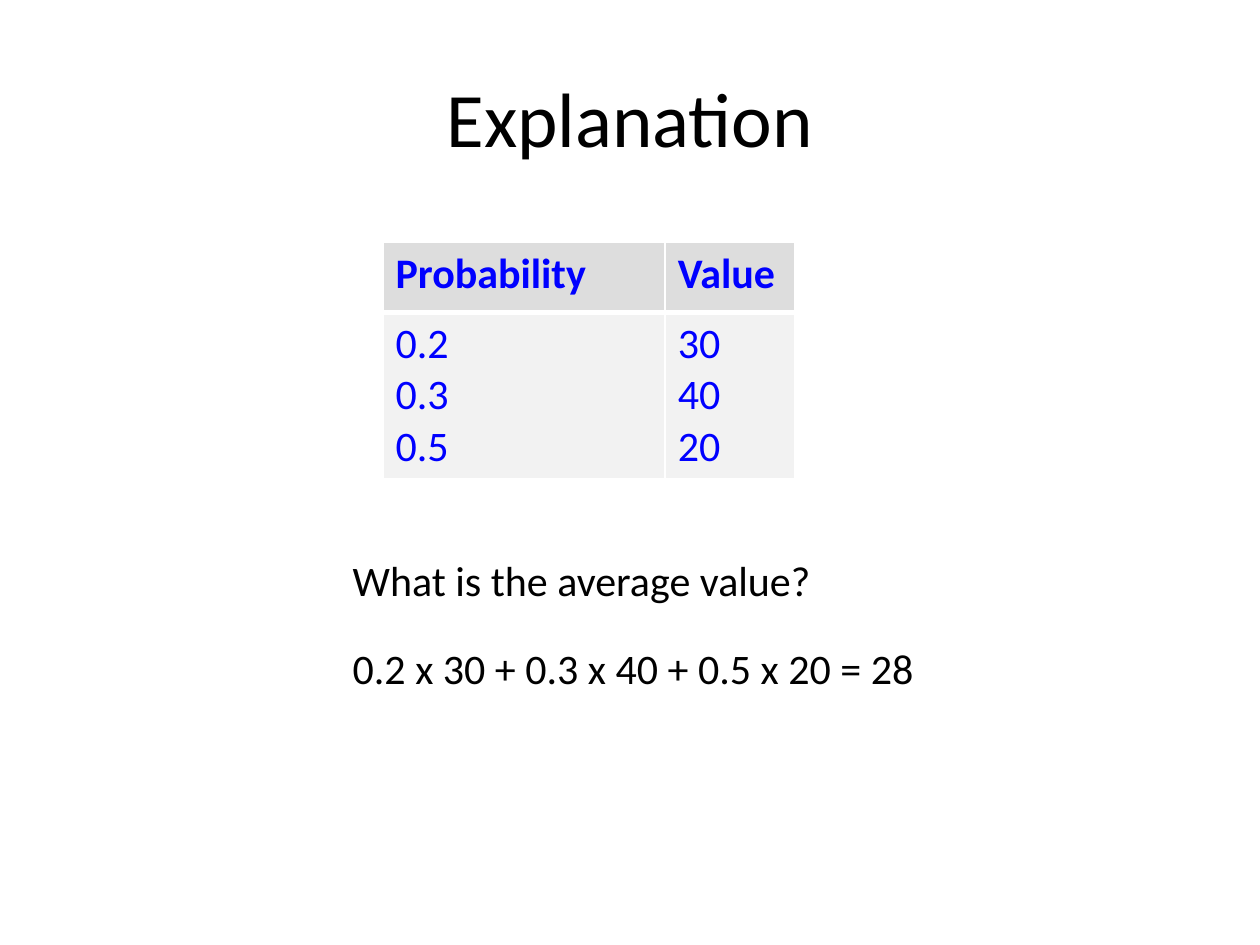
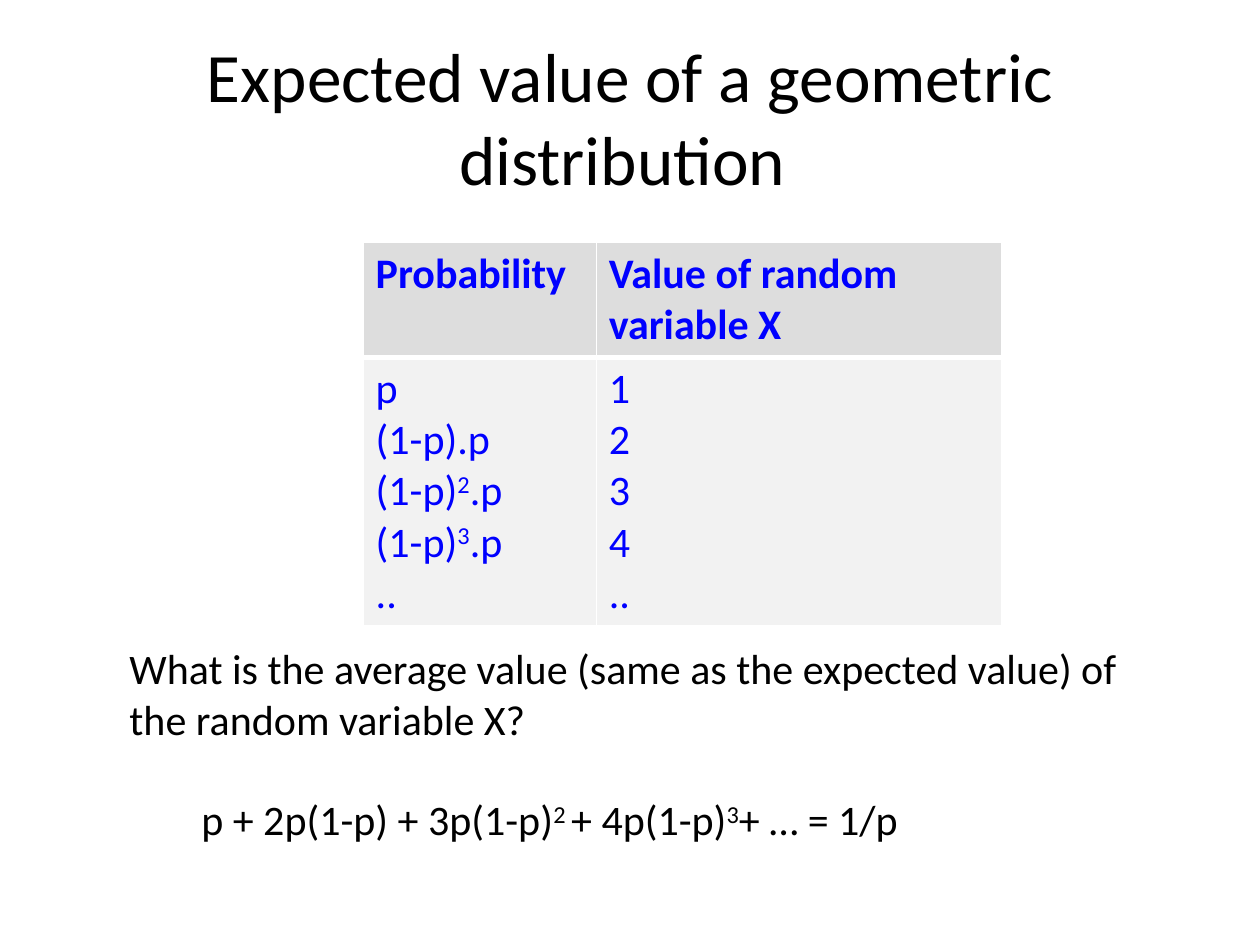
"""Build two slides that explain expected values with probability tables."""
from dataclasses import dataclass

from lxml.etree import SubElement
from pptx import Presentation
from pptx.dml.color import RGBColor
from pptx.enum.text import MSO_ANCHOR, MSO_AUTO_SIZE, PP_ALIGN
from pptx.oxml.ns import qn
from pptx.util import Cm, Pt

BLACK = RGBColor(0x00, 0x00, 0x00)
WHITE = RGBColor(0xFF, 0xFF, 0xFF)
BLUE = RGBColor(0x00, 0x00, 0xFF)
HEADER_GREY = RGBColor(0xDD, 0xDD, 0xDD)
BODY_GREY = RGBColor(0xF2, 0xF2, 0xF2)
FONT = "Calibri"
TITLE_ONLY = 5
TABLE_TOP = 4.88


@dataclass(frozen=True)
class Note:
    lines: list[str]
    left: float
    top: float
    width: float
    height: float = 1.27


@dataclass(frozen=True)
class ValueTable:
    left: float
    column_widths: list[float]
    row_heights: list[float]
    headings: list[str]
    columns: list[list[str]]


@dataclass(frozen=True)
class Page:
    title: str
    title_size: float
    table: ValueTable
    notes: list[Note]


PAGES = [
    Page(
        "Explanation", 44,
        ValueTable(7.72, [5.69, 2.62], [1.42, 3.3], ["Probability", "Value"],
                   [["0.2", "0.3", "0.5"], ["30", "40", "20"]]),
        [Note(["What is the average value?"], 6.86, 11.05, 9.83),
         Note(["0.2 x 30 + 0.3 x 40 + 0.5 x 20 = 28 "], 6.86, 12.83, 12.32)],
    ),
    Page(
        "Expected value of a geometric distribution ", 39.6,
        ValueTable(7.32, [4.7, 8.18], [2.3, 5.35],
                   ["Probability", "Value of random variable X"],
                   [["p", "(1-p).p", "(1-p)^2^.p", "(1-p)^3^.p", ".."],
                    ["1", "2", "3", "4", ".."]]),
        [Note(["What is the average value (same as the expected value) of",
               "the random variable X?"], 2.36, 12.83, 20.6, 2.31),
         Note(["p + 2p(1-p) + 3p(1-p)^2 ^+ 4p(1-p)^3^+ … = 1/p"],
              3.81, 15.88, 17.27)],
    ),
]


def write_text(frame, lines: list[str], *, size: float = 24,
               color: RGBColor = BLACK, bold: bool = False,
               align: PP_ALIGN = PP_ALIGN.LEFT) -> None:
    """Write one paragraph per line, raising the parts between carets."""
    for index, line in enumerate(lines):
        para = frame.add_paragraph() if index else frame.paragraphs[0]
        para.alignment = align
        for position, part in enumerate(line.split("^")):
            span = para.add_run()
            span.text = part
            span.font.name = FONT
            span.font.size = Pt(size)
            span.font.bold = bold
            span.font.color.rgb = color
            if position % 2:
                span._r.get_or_add_rPr().set("baseline", "30000")


def add_title(slide, page: Page) -> None:
    """Place and fill the title placeholder."""
    title = slide.shapes.title
    title.left, title.top = Cm(1.27), Cm(0.76)
    title.width, title.height = Cm(22.86), Cm(3.18)
    frame = title.text_frame
    frame.word_wrap = True
    frame.auto_size = MSO_AUTO_SIZE.NONE
    frame.vertical_anchor = MSO_ANCHOR.MIDDLE
    write_text(frame, [page.title], size=page.title_size, align=PP_ALIGN.CENTER)


def set_borders(cell, *, top: float, bottom: float) -> None:
    """Draw white cell borders, with thin sides."""
    properties = cell._tc.get_or_add_tcPr()
    for side, width in (("L", 1), ("R", 1), ("T", top), ("B", bottom)):
        line = SubElement(properties, qn(f"a:ln{side}"), w=str(Pt(width)))
        fill = SubElement(line, qn("a:solidFill"))
        SubElement(fill, qn("a:srgbClr"), val=str(WHITE))


def fill_cell(cell, lines: list[str], *, is_header: bool) -> None:
    """Style and fill one table cell."""
    set_borders(cell, top=1 if is_header else 3, bottom=3 if is_header else 1)
    cell.fill.solid()
    cell.fill.fore_color.rgb = HEADER_GREY if is_header else BODY_GREY
    write_text(cell.text_frame, lines, color=BLUE, bold=is_header)


def add_value_table(slide, content: ValueTable) -> None:
    """Add a table with a header row and one row of stacked values."""
    table = slide.shapes.add_table(
        len(content.row_heights), len(content.column_widths),
        Cm(content.left), Cm(TABLE_TOP),
        Cm(sum(content.column_widths)), Cm(sum(content.row_heights))).table
    for row, height in zip(table.rows, content.row_heights):
        row.height = Cm(height)
    for index, width in enumerate(content.column_widths):
        table.columns[index].width = Cm(width)
        fill_cell(table.cell(0, index), [content.headings[index]], is_header=True)
        fill_cell(table.cell(1, index), content.columns[index], is_header=False)


def add_note(slide, note: Note) -> None:
    """Add a text box below the table."""
    box = slide.shapes.add_textbox(
        Cm(note.left), Cm(note.top), Cm(note.width), Cm(note.height))
    box.text_frame.word_wrap = True
    write_text(box.text_frame, note.lines)


def build_deck() -> None:
    """Build every page and save the deck."""
    deck = Presentation()
    deck.slide_width, deck.slide_height = Cm(25.4), Cm(19.05)
    for page in PAGES:
        slide = deck.slides.add_slide(deck.slide_layouts[TITLE_ONLY])
        add_title(slide, page)
        add_value_table(slide, page.table)
        for note in page.notes:
            add_note(slide, note)
    deck.save("out.pptx")


build_deck()
